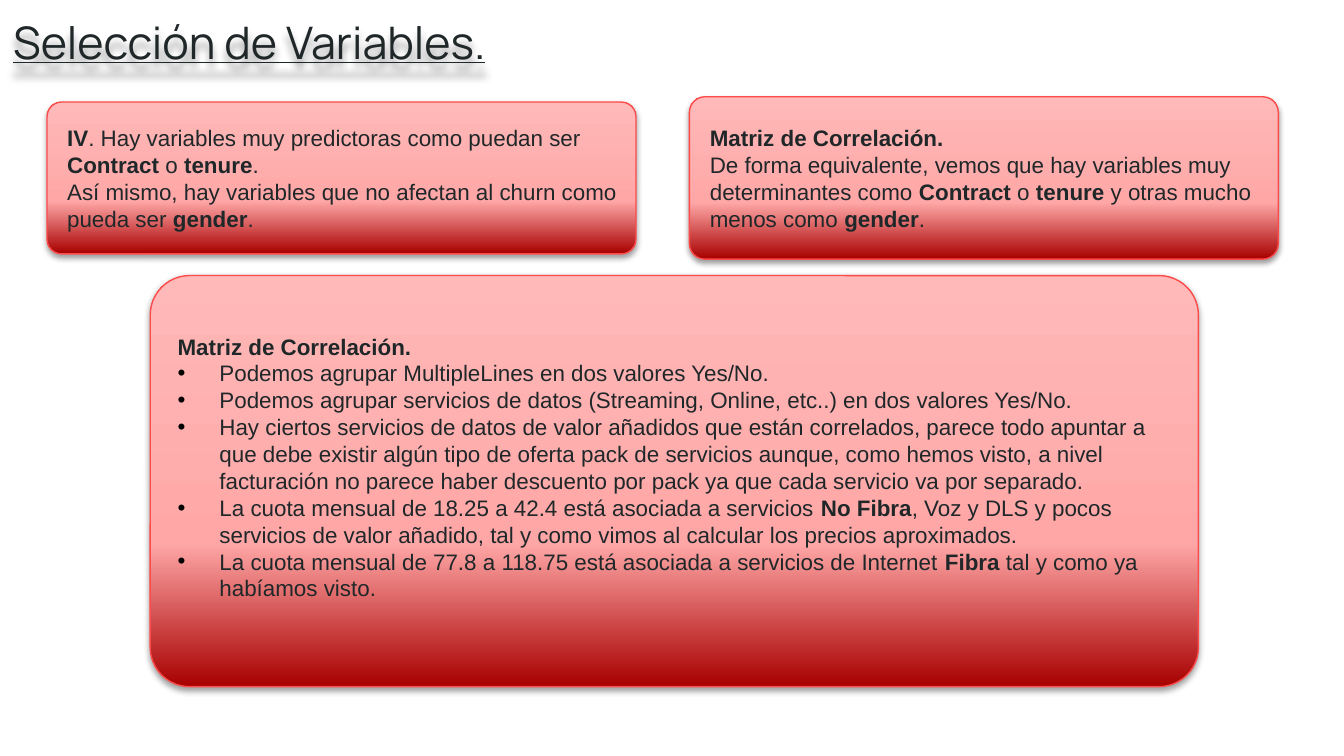
from dataclasses import dataclass

from lxml.etree import SubElement
from pptx import Presentation
from pptx.dml.color import RGBColor
from pptx.enum.shapes import MSO_SHAPE
from pptx.enum.text import MSO_ANCHOR, MSO_AUTO_SIZE, PP_ALIGN
from pptx.oxml.ns import qn
from pptx.util import Cm, Pt


@dataclass(frozen=True)
class Theme:
    ink: str = "202729"
    border: str = "FD4B4B"
    black: str = "000000"
    gradient: tuple = ((0, "A80000"), (35, "FFA7A7"), (100, "FFB9B9"))
    title_font: str = "Manrope"
    body_font: str = "Arial"
    title_size: int = 24
    body_size: int = 12


class SlideBuilder:
    def __init__(self, page, theme):
        self.page = page
        self.theme = theme

    def place(self, shape, left, top, width, height):
        shape.left, shape.top = Cm(left), Cm(top)
        shape.width, shape.height = Cm(width), Cm(height)

    def frame(self, shape, anchor, left=0.25, bottom=0.25):
        frame = shape.text_frame
        frame.word_wrap = True
        frame.auto_size = MSO_AUTO_SIZE.NONE
        frame.vertical_anchor = anchor
        frame.margin_left, frame.margin_bottom = Cm(left), Cm(bottom)
        frame.margin_right = frame.margin_top = Cm(0.25)
        return frame

    def span(self, para, text, font, size, bold=False):
        span = para.add_run()
        span.text = text
        span.font.name = font
        span.font.size = Pt(size)
        span.font.bold = bold
        span.font.color.rgb = RGBColor.from_string(self.theme.ink)
        return span

    def shadow(self, shape, blur, distance, opacity):
        shape.shadow.inherit = False
        effects = shape._element.spPr.find(qn("a:effectLst"))
        outer = SubElement(effects, qn("a:outerShdw"), blurRad=str(Pt(blur)),
                           dist=str(Pt(distance)), dir="5400000", rotWithShape="0")
        color = SubElement(outer, qn("a:srgbClr"), val=self.theme.black)
        SubElement(color, qn("a:alpha"), val=str(opacity * 1000))

    def gradient(self, shape):
        shape.fill.gradient()
        shape.fill.gradient_angle = 90
        stops = shape._element.spPr.find(qn("a:gradFill")).find(qn("a:gsLst"))
        for stop in list(stops):
            stops.remove(stop)
        for position, color in self.theme.gradient:
            stop = SubElement(stops, qn("a:gs"), pos=str(position * 1000))
            SubElement(stop, qn("a:srgbClr"), val=color)

    def bullet(self, para):
        properties = para._p.get_or_add_pPr()
        properties.set("marL", str(Cm(0.79)))
        properties.set("indent", str(-Cm(0.79)))
        color = SubElement(properties, qn("a:buClr"))
        SubElement(color, qn("a:srgbClr"), val=self.theme.black)
        SubElement(properties, qn("a:buFont"), typeface=self.theme.body_font)
        SubElement(properties, qn("a:buChar"), char="•")

    def title(self, text, *bounds):
        title = self.page.shapes.title
        self.place(title, *bounds)
        para = self.frame(title, MSO_ANCHOR.TOP).paragraphs[0]
        para.alignment = PP_ALIGN.LEFT
        span = self.span(para, text, self.theme.title_font, self.theme.title_size)
        span.font.underline = True
        self.shadow(title, 4, 4, 40)

    def card(self, lines, *bounds, bullets=(), bottom=0.25):
        box = self.page.shapes.add_shape(MSO_SHAPE.ROUNDED_RECTANGLE, 0, 0, 0, 0)
        self.place(box, *bounds)
        box.adjustments[0] = 0.096
        self.gradient(box)
        box.line.color.rgb = RGBColor.from_string(self.theme.border)
        box.line.width = Pt(0.75)
        self.shadow(box, 3.1, 1.6, 38)
        frame = self.frame(box, MSO_ANCHOR.MIDDLE, 0.3, bottom)
        for index, line in enumerate((*lines, *bullets)):
            para = frame.add_paragraph() if index else frame.paragraphs[0]
            para.alignment = PP_ALIGN.LEFT
            if index >= len(lines):
                self.bullet(para)
            for part, text in enumerate(line.split("*")):
                if text:
                    self.span(para, text, self.theme.body_font,
                              self.theme.body_size, part % 2 == 1)


def main():
    deck = Presentation()
    deck.slide_width, deck.slide_height = Cm(25.4), Cm(14.29)
    page = deck.slides.add_slide(deck.slide_layouts[5])
    slide = SlideBuilder(page, Theme())

    slide.title("Selección de Variables.", 0, 0.03, 23.44, 1.6)
    slide.card(
        ["*Matriz de Correlación.*"],
        2.84, 5.21, 19.81, 7.77,
        bullets=[
            "Podemos agrupar MultipleLines en dos valores Yes/No.",
            "Podemos agrupar servicios de datos (Streaming, Online, etc..) en dos "
            "valores Yes/No.",
            "Hay ciertos servicios de datos de valor añadidos que están "
            "correlados, parece todo apuntar a que debe existir algún tipo de "
            "oferta pack de servicios aunque, como hemos visto, a nivel "
            "facturación no parece haber descuento por pack ya que cada servicio "
            "va por separado.",
            "La cuota mensual de 18.25 a 42.4 está asociada a servicios "
            "*No Fibra*, Voz y DLS y pocos servicios de valor añadido, tal y como "
            "vimos al calcular los precios aproximados.",
            "La cuota mensual de 77.8 a 118.75 está asociada a servicios de "
            "Internet *Fibra* tal y como ya habíamos visto.",
        ],
        bottom=0.78,
    )
    slide.card(
        ["*IV*. Hay variables muy predictoras como puedan ser *Contract* o *tenure*.",
         "Así mismo, hay variables que no afectan al churn como pueda ser *gender*."],
        0.89, 1.93, 11.13, 2.87,
    )
    slide.card(
        ["*Matriz de Correlación.*",
         "De forma equivalente, vemos que hay variables muy determinantes como "
         "*Contract* o *tenure* y otras mucho menos como *gender*."],
        13.03, 1.83, 11.13, 3.07,
    )
    deck.save("out.pptx")


if __name__ == "__main__":
    main()
